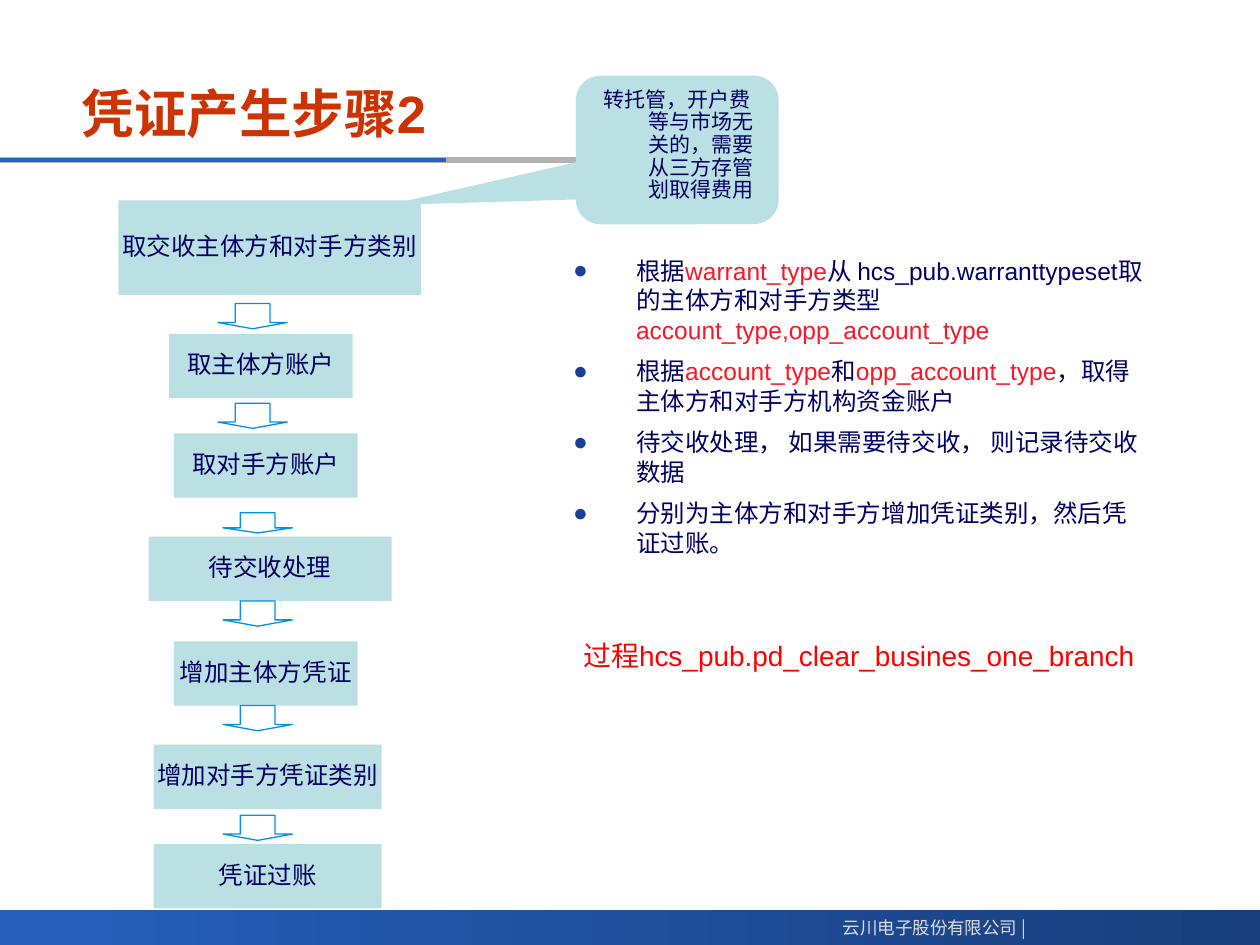
import pptx
import pptx.util
import pptx.dml.color
import pptx.enum.shapes
import pptx.enum.text
import pptx.oxml.ns
from lxml import etree

Inches, Pt = pptx.util.Inches, pptx.util.Pt
SHAPE = pptx.enum.shapes.MSO_SHAPE
ALIGN = pptx.enum.text.PP_ALIGN
ANCHOR = pptx.enum.text.MSO_ANCHOR
qn = pptx.oxml.ns.qn

THEME = {
    "latin": "Arial", "cjk": "Noto Sans CJK SC",
    "title": "CC3300", "ink": "000064", "key": "FA1626", "proc": "FF0000",
    "box": "BBE0E3", "arrow": "0290E8", "bullet": "184098", "footer": "DDDDDD",
    "bar": ("193F7C", "265FBC"), "rule": "2A60C0", "rule_back": "B2B2B2",
    "title_size": 30, "proc_size": 16, "body_size": 14, "note_size": 12, "footer_size": 10,
}

TITLE = "凭证产生步骤2"
FOOTER = "云川电子股份有限公司 |"
NOTE = "转托管，开户费等与市场无关的，需要从三方存管划取得费用"
PROCEDURE = "过程hcs_pub.pd_clear_busines_one_branch"

# label, left, top, width, height
STEPS = [
    ("取交收主体方和对手方类别", 0.94, 1.59, 2.4, 0.75),
    ("取主体方账户", 1.34, 2.65, 1.46, 0.51),
    ("取对手方账户", 1.38, 3.44, 1.46, 0.51),
    ("待交收处理", 1.18, 4.26, 1.93, 0.51),
    ("增加主体方凭证", 1.38, 5.09, 1.46, 0.51),
    ("增加对手方凭证类别", 1.22, 5.91, 1.81, 0.51),
    ("凭证过账", 1.22, 6.7, 1.81, 0.51),
]
# left, top, height
ARROWS = [(1.73, 2.41, 0.2), (1.73, 3.2, 0.2), (1.77, 4.07, 0.16),
          (1.77, 4.77, 0.2), (1.77, 5.6, 0.2), (1.77, 6.47, 0.2)]
# each bullet is a list of (text, colour)
BULLETS = [
    [("根据", "ink"), ("warrant_type", "key"),
     ("从 hcs_pub.warranttypeset取的主体方和对手方类型", "ink"),
     ("account_type,opp_account_type", "key")],
    [("根据", "ink"), ("account_type", "key"), ("和", "ink"),
     ("opp_account_type", "key"), ("，取得主体方和对手方机构资金账户", "ink")],
    [("待交收处理， 如果需要待交收， 则记录待交收数据", "ink")],
    [("分别为主体方和对手方增加凭证类别，然后凭证过账。", "ink")],
]


def rgb(name):
    return pptx.dml.color.RGBColor.from_string(THEME.get(name, name))


def add_run(p, text, size, color, bold=False, latin="latin"):
    r = p.add_run()
    r.text = text
    r.font.color.rgb = rgb(color)
    for key, value in {"size": Pt(THEME[size]), "bold": bold, "name": THEME[latin]}.items():
        setattr(r.font, key, value)
    etree.SubElement(r.font._element, qn("a:ea"), typeface=THEME["cjk"])


def set_frame(tf, wrap=True, anchor=ANCHOR.TOP):
    values = {"word_wrap": wrap, "vertical_anchor": anchor,
              "margin_left": Inches(0.1), "margin_right": Inches(0.1),
              "margin_top": Inches(0.05), "margin_bottom": Inches(0.05)}
    for key, value in values.items():
        setattr(tf, key, value)
    return tf


def set_paragraph(p, indent=0.38, **values):
    """Give a paragraph a hanging indent and the named format values."""
    pPr = p._p.get_or_add_pPr()
    pPr.set("marL", str(Inches(indent)))
    pPr.set("indent", str(-Inches(indent)))
    for key, value in values.items():
        setattr(p, key, value)


def add_bullet(p):
    pPr = p._p.get_or_add_pPr()
    color = etree.SubElement(pPr, qn("a:buClr"))
    etree.SubElement(color, qn("a:srgbClr"), val=THEME["bullet"])
    etree.SubElement(pPr, qn("a:buFont"), typeface=THEME["latin"])
    etree.SubElement(pPr, qn("a:buChar"), char="●")


def add_shape(s, kind, at, fill=None, line=None, adjustments=()):
    sp = s.shapes.add_shape(kind, *map(Inches, at))
    sp.shadow.inherit = False
    for i, value in enumerate(adjustments):
        sp.adjustments[i] = value
    if fill:
        sp.fill.solid()
        sp.fill.fore_color.rgb = rgb(fill)
    else:
        sp.fill.background()
    if line:
        sp.line.color.rgb = rgb(line)
        sp.line.width = Pt(0.75)
    else:
        sp.line.fill.background()
    return sp


def add_text_box(s, at, wrap=True):
    return set_frame(s.shapes.add_textbox(*map(Inches, at)).text_frame, wrap)


def add_rule(s, right, color, width):
    y = Inches(1.27)
    line = s.shapes.add_connector(pptx.enum.shapes.MSO_CONNECTOR.STRAIGHT, 0, y, Inches(right), y)
    line.line.color.rgb = rgb(color)
    line.line.width = Pt(width)
    etree.SubElement(line._element.spPr, qn("a:effectLst"))


def add_frame(s):
    """Footer bar, footer text, title and the rules under it."""
    bar = add_shape(s, SHAPE.RECTANGLE, (0, 7.22, 10, 0.28))
    bar.fill.gradient()
    bar.fill.gradient_angle = 180
    for stop, position, color in zip(bar.fill.gradient_stops, (0, 1), THEME["bar"]):
        stop.position = position
        stop.color.rgb = rgb(color)
    add_rule(s, 5.24, "rule_back", 3)
    add_rule(s, 3.54, "rule", 2.25)
    p = add_text_box(s, (6.53, 7.23, 1.71, 0.27), wrap=False).paragraphs[0]
    p.alignment = ALIGN.RIGHT
    add_run(p, FOOTER, "footer_size", "footer", latin="cjk")

    title = s.shapes.title
    for key, value in zip(("left", "top", "width", "height"), (0.55, 0.56, 6.92, 0.67)):
        setattr(title, key, Inches(value))
    p = set_frame(title.text_frame, anchor=ANCHOR.MIDDLE).paragraphs[0]
    p.alignment = ALIGN.LEFT
    add_run(p, TITLE, "title_size", "title", bold=True)


def add_explanation(s):
    tf = add_text_box(s, (4.45, 1.98, 4.73, 4.88))
    for i, runs in enumerate(BULLETS):
        p = tf.add_paragraph() if i else tf.paragraphs[0]
        set_paragraph(p, 0.5, space_before=Pt(3.5 if i else 0), space_after=Pt(3.5))
        add_bullet(p)
        for text, color in runs:
            add_run(p, text, "body_size", color)


def add_flow(s):
    note = add_shape(s, SHAPE.ROUNDED_RECTANGULAR_CALLOUT, (4.57, 0.6, 1.61, 1.18),
                     "box", adjustments=(-1.428, 0.371, 0.167))
    p = set_frame(note.text_frame).paragraphs[0]
    set_paragraph(p, alignment=ALIGN.CENTER, line_spacing=0.9)
    add_run(p, NOTE, "note_size", "ink")
    for label, *at in STEPS:
        box = add_shape(s, SHAPE.RECTANGLE, at, "box")
        p = set_frame(box.text_frame, False, ANCHOR.MIDDLE).paragraphs[0]
        set_paragraph(p, alignment=ALIGN.CENTER, line_spacing=0.9)
        add_run(p, label, "body_size", "ink")
    for left, top, height in ARROWS:
        add_shape(s, SHAPE.DOWN_ARROW, (left, top, 0.55, height),
                  line="arrow", adjustments=(0.5, 0.25))


def main():
    prs = pptx.Presentation()
    prs.slide_width, prs.slide_height = Inches(10), Inches(7.5)
    s = prs.slides.add_slide(prs.slide_layouts[5])
    add_frame(s)
    add_explanation(s)
    add_flow(s)
    p = add_text_box(s, (4.53, 5.05, 4.61, 0.58)).paragraphs[0]
    set_paragraph(p, line_spacing=0.9)
    add_run(p, PROCEDURE, "proc_size", "proc")
    prs.save("out.pptx")


if __name__ == "__main__":
    main()
